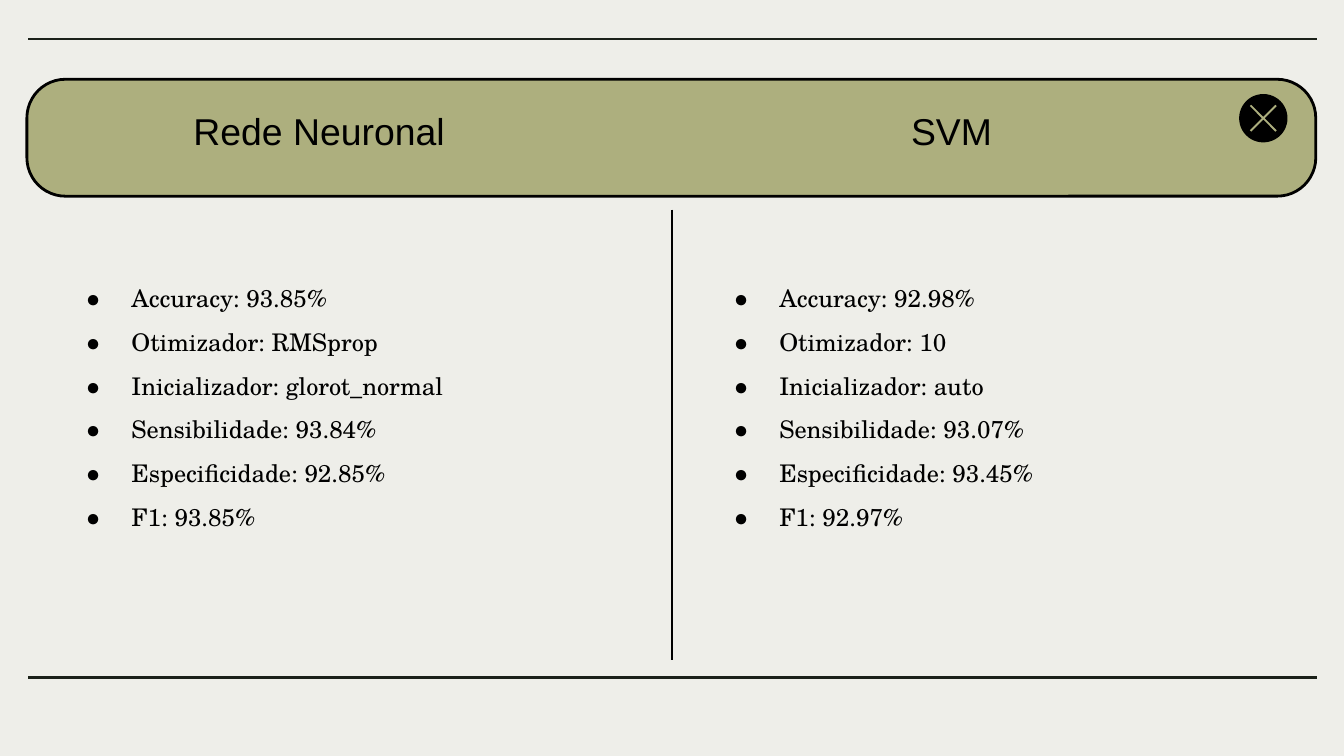
from lxml import etree
from pptx import Presentation
from pptx.dml.color import RGBColor
from pptx.enum.shapes import MSO_CONNECTOR, MSO_SHAPE
from pptx.enum.text import MSO_ANCHOR, MSO_AUTO_SIZE, PP_ALIGN
from pptx.oxml.ns import qn
from pptx.util import Inches, Pt

STRAIGHT = MSO_CONNECTOR.STRAIGHT
ROUNDED, OVAL = MSO_SHAPE.ROUNDED_RECTANGLE, MSO_SHAPE.OVAL
TOP, MIDDLE = MSO_ANCHOR.TOP, MSO_ANCHOR.MIDDLE
CENTER, NO_FIT = PP_ALIGN.CENTER, MSO_AUTO_SIZE.NONE

COLORS = {"paper": "EEEEE9", "olive": "ADAF7E", "ink": "000000", "rule": "1B2119"}
HEADING_FONT, BODY_FONT = "Arial", "TeX Gyre Schola"

METRICS = ["Accuracy", "Otimizador", "Inicializador",
           "Sensibilidade", "Especificidade", "F1"]
NEURAL_VALUES = ["93.85%", "RMSprop", "glorot_normal", "93.84%", "92.85%", "93.85%"]
SVM_VALUES = ["92.98%", "10", "auto", "93.07%", "93.45%", "92.97%"]


def color(name):
    return RGBColor.from_string(COLORS[name])


def paint(shape, fill, line=None):
    shape.shadow.inherit = False
    shape.fill.solid()
    shape.fill.fore_color.rgb = color(fill)
    if line:
        shape.line.color.rgb = color(line)
        shape.line.width = Pt(1.5)
    else:
        shape.line.fill.background()


def place(shape, box):
    shape.left, shape.top, shape.width, shape.height = (Inches(v) for v in box)


def add_rule(slide, start, end, ink):
    rule = slide.shapes.add_connector(STRAIGHT, *(Inches(v) for v in (*start, *end)))
    rule.line.color.rgb = color(ink)
    rule.line.width = Pt(1.5)
    etree.SubElement(rule._element.spPr, qn("a:effectLst"))


def prepare_frame(shape, anchor):
    frame = shape.text_frame
    frame.word_wrap = True
    frame.auto_size = NO_FIT
    frame.vertical_anchor = anchor
    frame.margin_left = frame.margin_right = Inches(0.1)
    frame.margin_top = frame.margin_bottom = Inches(0.1)
    return frame


def add_run(paragraph, text, font, size):
    run = paragraph.add_run()
    run.text = text
    run.font.name = font
    run.font.size = Pt(size)
    run.font.color.rgb = color("ink")


def write_heading(shape, box, text):
    place(shape, box)
    paragraph = prepare_frame(shape, MIDDLE).paragraphs[0]
    paragraph.alignment = CENTER
    add_run(paragraph, text, HEADING_FONT, 20)


def add_close_button(slide, box):
    """Draw a disc with a thin cross, symmetric under quarter turns."""
    left, top, size, _ = box
    button = slide.shapes.add_group_shape()
    disc = button.shapes.add_shape(OVAL, *(Inches(v) for v in box))
    paint(disc, "ink")

    center_x, center_y = left + size / 2, top + size / 2
    arm = [(-0.09, -0.1), (-0.1, -0.09), (-0.01, 0)]
    points = []
    for _ in range(4):
        points += [(Inches(center_x + x), Inches(center_y + y)) for x, y in arm]
        arm = [(y, -x) for x, y in arm]
    outline = button.shapes.build_freeform(*points[0])
    outline.add_line_segments(points[1:], close=True)
    paint(outline.convert_to_shape(), "olive")


def add_banner(slide, box):
    left, top, width, _ = box
    bar = slide.shapes.add_shape(ROUNDED, *(Inches(v) for v in box))
    bar.adjustments[0] = 0.33
    paint(bar, "olive", "ink")
    add_close_button(slide, (left + width - 0.57, top + 0.11, 0.36, 0.36))

    title = slide.shapes.title
    slide.shapes._spTree.append(title._element)  # bring in front of the bar
    write_heading(title, (left + 0.75, top - 0.02, 2.85, 0.81), "Rede Neuronal")
    svm = slide.shapes.add_textbox(0, 0, 0, 0)
    write_heading(svm, (left + 5.92, top - 0.02, 1.92, 0.81), "SVM")


def add_bullet(paragraph):
    properties = paragraph._p.get_or_add_pPr()
    properties.set("marL", str(Inches(0.5)))
    properties.set("indent", str(Inches(-0.35)))
    bullet_color = etree.SubElement(properties, qn("a:buClr"))
    etree.SubElement(bullet_color, qn("a:srgbClr"), val=COLORS["ink"])
    etree.SubElement(properties, qn("a:buFont"), typeface=BODY_FONT)
    etree.SubElement(properties, qn("a:buChar"), char="●")


def add_results(slide, box, values):
    results = slide.shapes.add_textbox(*(Inches(v) for v in box))
    frame = prepare_frame(results, TOP)
    for i, (metric, value) in enumerate(zip(METRICS, values)):
        paragraph = frame.add_paragraph() if i else frame.paragraphs[0]
        paragraph.line_spacing = 1.5
        add_bullet(paragraph)
        add_run(paragraph, f"{metric}: {value}", BODY_FONT, 13)


def main():
    deck = Presentation()
    deck.slide_width = Inches(10)
    deck.slide_height = deck.slide_width * 9 // 16
    slide = deck.slides.add_slide(deck.slide_layouts[5])
    slide.background.fill.solid()
    slide.background.fill.fore_color.rgb = color("paper")

    for y in (0.29, 5.04):
        add_rule(slide, (0.21, y), (9.8, y), "rule")
    add_banner(slide, (0.2, 0.59, 9.59, 0.87))
    add_rule(slide, (5, 1.56), (5, 4.91), "ink")
    add_results(slide, (0.38, 1.9, 4.42, 2.38), NEURAL_VALUES)
    add_results(slide, (5.2, 1.9, 4.69, 2.38), SVM_VALUES)
    deck.save("out.pptx")


if __name__ == "__main__":
    main()
